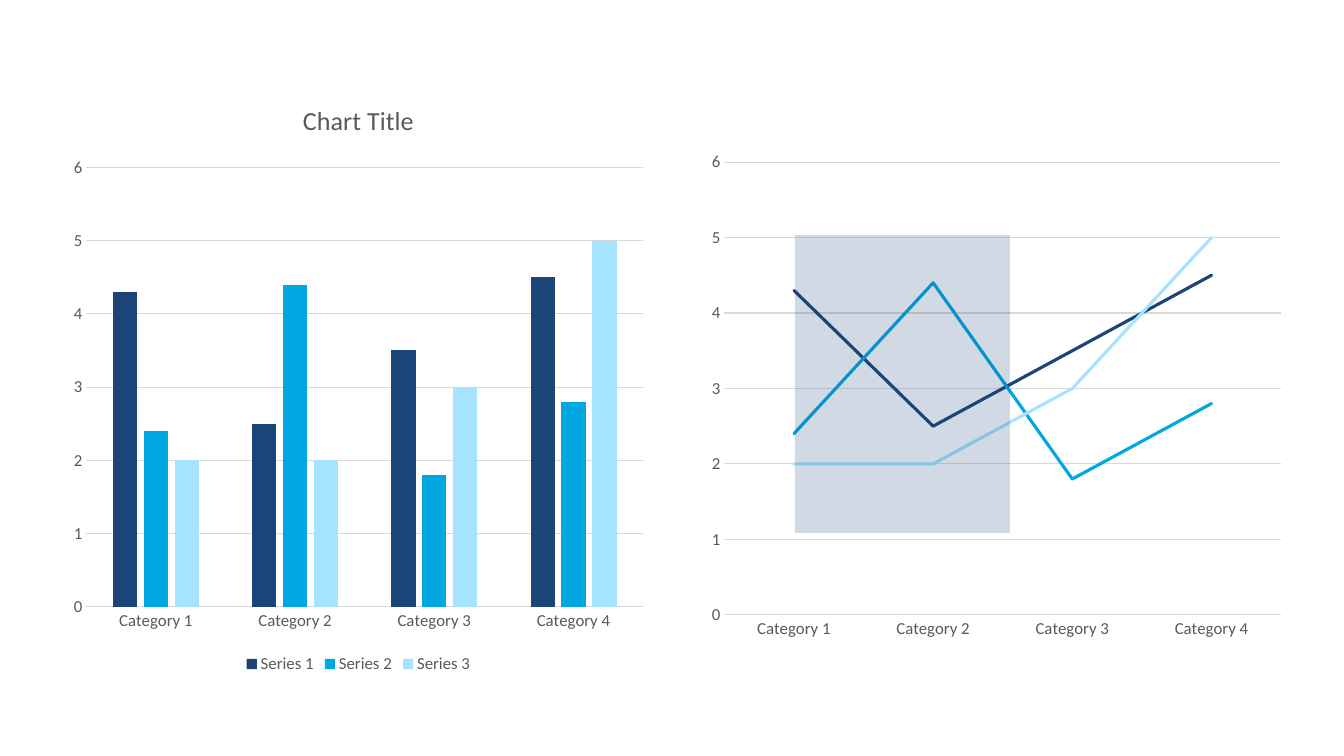
import lxml.etree
import pptx
import pptx.util
import pptx.chart.data
import pptx.dml.color
import pptx.enum.chart
import pptx.enum.shapes
import pptx.oxml.ns

# Content, with boxes as left, top, width, height in px
PAGE_SIZE = (1344, 756)
FONT, GREY, RULE = "Calibri", "595959", "D9D9D9"
CATEGORIES = ["Category 1", "Category 2", "Category 3", "Category 4"]
SERIES = [
    ("Series 1", "1B4479", (4.3, 2.5, 3.5, 4.5)),
    ("Series 2", "00A7E1", (2.4, 4.4, 1.8, 2.8)),
    ("Series 3", "A6E3FF", (2, 2, 3, 5)),
]
LINE_BOX = (700, 142, 593, 507)
COLUMN_BOX = (62, 80, 593, 598)
HIGHLIGHT = {"box": (795, 235, 215, 298), "color": "1B4479", "alpha": 20}
TITLE = "Chart Title"

SCALE = 914400 / 100.8
KINDS = pptx.enum.chart.XL_CHART_TYPE


def emu(lengths):
    return [round(length * SCALE) for length in lengths]


def color(code):
    return pptx.dml.color.RGBColor.from_string(code)


def assign(target, values):
    for name, value in values.items():
        setattr(target, name, value)


def style_font(font, size):
    assign(font, {"name": FONT, "size": pptx.util.Pt(size), "bold": False})
    font.color.rgb = color(GREY)


def style_line(line, code, width):
    line.color.rgb = color(code)
    line.width = pptx.util.Pt(width)


def add_chart(page, kind, box):
    data = pptx.chart.data.CategoryChartData()
    data.categories = CATEGORIES
    for name, _, values in SERIES:
        data.add_series(name, values)
    chart = page.shapes.add_chart(kind, *emu(box), data).chart
    assign(chart, {"has_title": False, "has_legend": False})
    assign(chart.font, {"name": FONT, "size": pptx.util.Pt(10)})
    chart.plots[0].vary_by_categories = False

    # Axes and gridlines
    for axis in (chart.category_axis, chart.value_axis):
        assign(axis, {
            "major_tick_mark": pptx.enum.chart.XL_TICK_MARK.NONE,
            "minor_tick_mark": pptx.enum.chart.XL_TICK_MARK.NONE,
        })
        style_font(axis.tick_labels.font, 12)
    style_line(chart.category_axis.format.line, RULE, 0.75)
    assign(chart.value_axis, {"minimum_scale": 0, "maximum_scale": 6,
                              "major_unit": 1, "has_major_gridlines": True})
    chart.value_axis.format.line.fill.background()
    style_line(chart.value_axis.major_gridlines.format.line, RULE, 0.75)
    return chart


deck = pptx.Presentation()
deck.slide_width, deck.slide_height = emu(PAGE_SIZE)
page = deck.slides.add_slide(deck.slide_layouts[6])

# Line chart
line_chart = add_chart(page, KINDS.LINE, LINE_BOX)
for series, (_, code, _) in zip(line_chart.plots[0].series, SERIES):
    series.smooth = False
    series.marker.style = pptx.enum.chart.XL_MARKER_STYLE.NONE
    style_line(series.format.line, code, 2.25)
    outline = next(series._element.iter(pptx.oxml.ns.qn("a:ln")))
    outline.set("cap", "rnd")

# Translucent highlight
highlight = page.shapes.add_shape(
    pptx.enum.shapes.MSO_SHAPE.RECTANGLE, *emu(HIGHLIGHT["box"]))
highlight.shadow.inherit = False
highlight.line.fill.background()
highlight.fill.solid()
highlight.fill.fore_color.rgb = color(HIGHLIGHT["color"])
tint = next(highlight._element.iter(pptx.oxml.ns.qn("a:srgbClr")))
alpha = lxml.etree.SubElement(tint, pptx.oxml.ns.qn("a:alpha"))
alpha.set("val", str(HIGHLIGHT["alpha"] * 1000))

# Column chart with title and legend
column_chart = add_chart(page, KINDS.COLUMN_CLUSTERED, COLUMN_BOX)
assign(column_chart.plots[0], {"gap_width": 219, "overlap": -27})
for series, (_, code, _) in zip(column_chart.plots[0].series, SERIES):
    series.format.fill.solid()
    series.format.fill.fore_color.rgb = color(code)
column_chart.has_title = True
column_chart.chart_title.include_in_layout = False
para = column_chart.chart_title.text_frame.paragraphs[0]
span = para.add_run()
span.text = TITLE
style_font(span.font, 18.6)
column_chart.has_legend = True
assign(column_chart.legend, {
    "position": pptx.enum.chart.XL_LEGEND_POSITION.BOTTOM,
    "include_in_layout": False,
})
style_font(column_chart.legend.font, 12)

deck.save("out.pptx")
